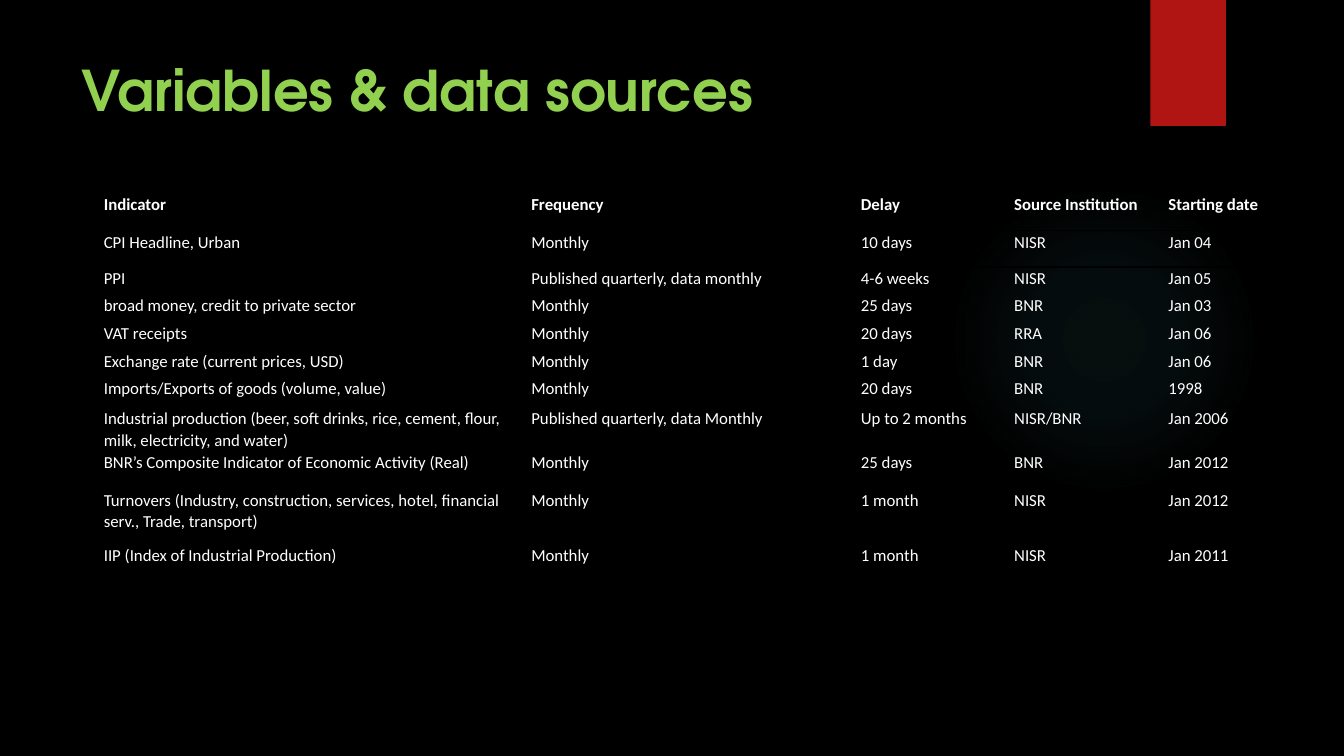
from dataclasses import dataclass

import lxml.etree
import pptx
import pptx.dml.color
import pptx.enum.shapes
import pptx.enum.text
import pptx.oxml
import pptx.oxml.ns
import pptx.util

Inches = pptx.util.Inches
Pt = pptx.util.Pt
RGBColor = pptx.dml.color.RGBColor
PP_ALIGN = pptx.enum.text.PP_ALIGN
MSO_SHAPE = pptx.enum.shapes.MSO_SHAPE
qn = pptx.oxml.ns.qn

BLACK = RGBColor(0x00, 0x00, 0x00)
WHITE = RGBColor(0xFF, 0xFF, 0xFF)
GREEN = RGBColor(0x92, 0xD0, 0x50)
RED = RGBColor(0xB0, 0x15, 0x13)
TEAL = RGBColor(0x50, 0xB9, 0xC1)

NO_STYLE = "{2D5ABB26-0587-4C30-8999-92F81FD0307C}"
A_NS = 'xmlns:a="http://schemas.openxmlformats.org/drawingml/2006/main"'
COLUMN_WIDTHS = (4.24, 3.27, 1.52, 1.53, 1.12)
GLOW_STOPS = ((0, 7), (36, 6), (69, 0))  # position and opacity, percent


@dataclass
class Row:
    height: float
    indicator: str
    frequency: str
    delay: str
    source: str
    start: str

    def texts(self) -> tuple[str, ...]:
        return self.indicator, self.frequency, self.delay, self.source, self.start


ROWS = (
    Row(0.37, "Indicator", "Frequency", "Delay", "Source Institution", "Starting date"),
    Row(0.36, "CPI Headline, Urban", "Monthly", "10 days", "NISR", "Jan 04"),
    Row(0.27, "PPI", "Published quarterly, data monthly", "4-6 weeks", "NISR", "Jan 05"),
    Row(0.28, "broad money, credit to private sector", "Monthly", "25 days", "BNR", "Jan 03"),
    Row(0.27, "VAT receipts", "Monthly", "20 days", "RRA", "Jan 06"),
    Row(0.27, "Exchange rate (current prices, USD)", "Monthly", "1 day", "BNR", "Jan 06"),
    Row(0.3, "Imports/Exports of goods (volume, value)", "Monthly", "20 days", "BNR", "1998"),
    Row(0.44, "Industrial production (beer, soft drinks, rice, cement, flour, milk, "
        "electricity, and water)", "Published quarterly, data Monthly", "Up to 2 months",
        "NISR/BNR", "Jan 2006"),
    Row(0.37, "BNR’s Composite Indicator of Economic Activity (Real)", "Monthly", "25 days",
        "BNR", "Jan 2012"),
    Row(0.55, "Turnovers (Industry, construction, services, hotel, financial serv., Trade, "
        "transport)", "Monthly", "1 month", "NISR", "Jan 2012"),
    Row(0.61, "IIP (Index of Industrial Production)", "Monthly", "1 month", "NISR", "Jan 2011"),
)


def add_block(slide, kind, left: float, top: float, width: float, height: float):
    sp = slide.shapes.add_shape(kind, Inches(left), Inches(top), Inches(width), Inches(height))
    sp.shadow.inherit = False
    sp.line.fill.background()
    return sp


def set_glow(sp) -> None:
    """Fill a shape with a faint radial gradient."""
    stops = "".join(
        f'<a:gs pos="{pos * 1000}"><a:srgbClr val="{TEAL}">'
        f'<a:alpha val="{alpha * 1000}"/></a:srgbClr></a:gs>'
        for pos, alpha in GLOW_STOPS)
    grad = pptx.oxml.parse_xml(
        f'<a:gradFill {A_NS} rotWithShape="1"><a:gsLst>{stops}</a:gsLst><a:path path="circle">'
        '<a:fillToRect l="50000" t="50000" r="50000" b="50000"/></a:path></a:gradFill>')
    sp.fill.background()
    spPr = sp.element.spPr
    spPr.replace(spPr.find(qn("a:noFill")), grad)


def set_font(p, name: str, size: float, color: RGBColor, bold: bool) -> None:
    p.font.name = name
    p.font.size = Pt(size)
    p.font.bold = bold
    p.font.color.rgb = color


def add_borders(cell, sides: tuple[str, ...]) -> None:
    tcPr = cell._tc.get_or_add_tcPr()
    for i, side in enumerate(sides):
        ln = lxml.etree.Element(qn(f"a:ln{side}"), w=str(Pt(1)))
        fill = lxml.etree.SubElement(ln, qn("a:solidFill"))
        lxml.etree.SubElement(fill, qn("a:srgbClr"), val=str(BLACK))
        tcPr.insert(i, ln)


def fill_cell(cell, text: str, header: bool) -> None:
    cell.margin_left = cell.margin_right = Inches(0.07)
    cell.margin_top = cell.margin_bottom = 0
    cell.fill.background()
    p = cell.text_frame.paragraphs[0]
    p.text = text
    p.alignment = PP_ALIGN.JUSTIFY if header else PP_ALIGN.LEFT
    p.line_spacing = 1.07
    p.space_after = Pt(8)
    set_font(p, "Calibri", 12, WHITE, header)


def add_indicator_table(slide) -> None:
    frame = slide.shapes.add_table(
        len(ROWS), len(COLUMN_WIDTHS), Inches(0.96), Inches(1.92),
        Inches(sum(COLUMN_WIDTHS)), Inches(sum(row.height for row in ROWS)))
    next(frame.element.iter(qn("a:tableStyleId"))).text = NO_STYLE
    table = frame.table
    table.horz_banding = False
    for column, width in zip(table.columns, COLUMN_WIDTHS):
        column.width = Inches(width)
    borders = {0: ("T", "B"), 1: ("T",), len(ROWS) - 1: ("B",)}
    for i, row in enumerate(ROWS):
        table.rows[i].height = Inches(row.height)
        for j, text in enumerate(row.texts()):
            cell = table.cell(i, j)
            fill_cell(cell, text, header=i == 0)
            add_borders(cell, borders.get(i, ()))


def add_title(slide, text: str) -> None:
    box = slide.shapes.add_textbox(Inches(0.71), Inches(0.5), Inches(10.29), Inches(1.22))
    tf = box.text_frame
    tf.word_wrap = True
    p = tf.paragraphs[0]
    p.text = text
    set_font(p, "TeX Gyre Adventor", 40, GREEN, True)


def main() -> None:
    prs = pptx.Presentation()
    prs.slide_width = Inches(13.33)
    prs.slide_height = Inches(7.5)
    slide = prs.slides.add_slide(prs.slide_layouts[6])

    # Background glow and red tab
    slide.background.fill.solid()
    slide.background.fill.fore_color.rgb = BLACK
    set_glow(add_block(slide, MSO_SHAPE.OVAL, 9.41, 1.83, 3.08, 3.08))
    tab = add_block(slide, MSO_SHAPE.RECTANGLE, 11.41, 0, 0.75, 1.25)
    tab.fill.solid()
    tab.fill.fore_color.rgb = RED

    # Title and table
    add_title(slide, "Variables & data sources")
    add_indicator_table(slide)

    prs.save("out.pptx")


if __name__ == "__main__":
    main()
